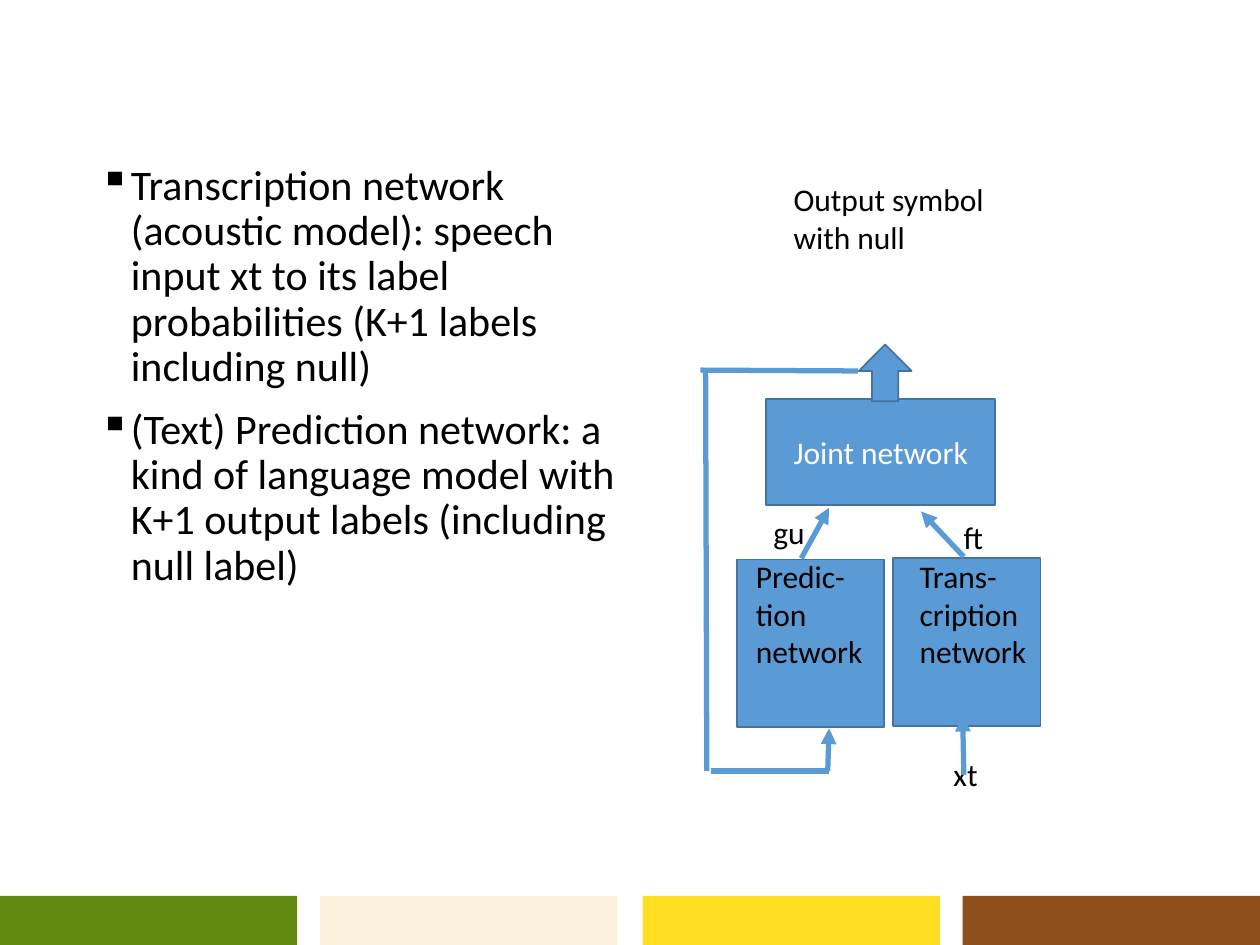
"""Build a slide on the transcription, prediction and joint networks of a transducer."""
import pptx
import pptx.util
import pptx.dml.color
import pptx.enum.shapes
import pptx.enum.text
import pptx.oxml.ns
import lxml.etree

Pt = pptx.util.Pt
SHAPE = pptx.enum.shapes.MSO_SHAPE
ALIGN = pptx.enum.text.PP_ALIGN
ANCHOR = pptx.enum.text.MSO_ANCHOR
FIT = pptx.enum.text.MSO_AUTO_SIZE

THEME = {
    "font": "Calibri", "body": 24, "label": 18,
    "ink": "000000", "light": "FFFFFF", "blue": "5B9BD5", "edge": "43739E",
    "edge_width": 1, "line_width": 3,
}
FOOTER = [(0, "61890F"), (182.9, "FAF2DD"), (367.2, "FFDF24"), (550.1, "8E4F1C")]
FOOTER_TOP, FOOTER_WIDTH, FOOTER_HEIGHT = 511.9, 169.9, 28.1

BULLETS = [
    "Transcription network (acoustic model): speech input xt to its label "
    "probabilities (K+1 labels including null)",
    "(Text) Prediction network: a kind of language model with K+1 output labels "
    "(including null label)",
]
BULLETS_AT = (49.7, 90, 322.6, 396.7)

NETWORKS = [
    ((510.5, 319, 84.2, 95.8), "Trans-cription network", (518.4, 314.6, 76.3, 94.3)),
    ((421.2, 319.7, 84.2, 95.8), "Predic-tion network", (424.8, 314.6, 76.3, 94.3)),
]
JOINT = ("Joint network", (437.8, 228.2, 131, 60.5))
OUTPUT_ARROW = (489.6, 198, 32.4, 30.2)
LABELS = [
    (["Output symbol", "with null"], (446.4, 99.4, 128.9, 51.1)),
    (["ft"], (543.6, 292.3, 25.9, 28.8)),
    (["gu"], (434.9, 289.4, 32.4, 28.8)),
    (["xt"], (537.8, 427.7, 28.8, 28.8)),
]
ARROWS = [
    (550.8, 318.2, 526.3, 292.3),
    (457.9, 319, 473.8, 290.2),
    (473, 440.6, 473.8, 416.2),
    (550.8, 442.8, 550.1, 409),
]
FEEDBACK = [
    (490.3, 212, 400.3, 211.5),
    (403.2, 211, 403.9, 440.6),
    (406.1, 440.6, 473.8, 440.6),
]


def rgb(name):
    return pptx.dml.color.RGBColor.from_string(THEME.get(name, name))


def apply(target, values):
    for name, value in values.items():
        setattr(target, name, value)


def add_xml(parent, tag, **attributes):
    child = lxml.etree.SubElement(parent, pptx.oxml.ns.qn(tag))
    for name, value in attributes.items():
        child.set(name, value)


def write(box, texts, size="label", color="ink", **layout):
    frame = box.text_frame
    apply(frame, layout)
    for index, text in enumerate(texts):
        para = frame.paragraphs[0] if index == 0 else frame.add_paragraph()
        span = para.add_run()
        span.text = text
        apply(span.font, {"name": THEME["font"], "size": Pt(THEME[size])})
        span.font.color.rgb = rgb(color)
    return frame.paragraphs


def add_text(page, at, texts, **layout):
    return write(page.shapes.add_textbox(*map(Pt, at)), texts, **layout)


def add_block(page, kind, at, fill="blue", edge="edge"):
    box = page.shapes.add_shape(kind, *map(Pt, at))
    box.shadow.inherit = False
    box.fill.solid()
    box.fill.fore_color.rgb = rgb(fill)
    if edge:
        box.line.color.rgb = rgb(edge)
        box.line.width = Pt(THEME["edge_width"])
    else:
        box.line.fill.background()
    return box


def add_line(page, ends, arrow=False):
    line = page.shapes.add_connector(
        pptx.enum.shapes.MSO_CONNECTOR.STRAIGHT, *map(Pt, ends))
    line.line.color.rgb = rgb("blue")
    line.line.width = Pt(THEME["line_width"])
    if arrow:
        add_xml(line.line._get_or_add_ln(), "a:tailEnd", type="triangle")
    add_xml(line._element.spPr, "a:effectLst")


def add_bullets(page):
    paras = add_text(page, BULLETS_AT, BULLETS, size="body", word_wrap=True)
    for index, para in enumerate(paras):
        apply(para, {"line_spacing": 0.9, "space_before": Pt(10 if index else 0)})
        properties = para._p.get_or_add_pPr()
        properties.set("marL", str(Pt(18)))
        properties.set("indent", str(Pt(-18)))
        add_xml(properties, "a:buChar", char="▪")


def add_diagram(page):
    for block_at, text, text_at in NETWORKS:
        add_block(page, SHAPE.RECTANGLE, block_at)
        add_text(page, text_at, [text], word_wrap=True, auto_size=FIT.SHAPE_TO_FIT_TEXT)
    text, at = JOINT
    joint = add_block(page, SHAPE.RECTANGLE, at)
    paras = write(joint, [text], color="light", word_wrap=True,
                  vertical_anchor=ANCHOR.MIDDLE)
    paras[0].alignment = ALIGN.CENTER
    add_block(page, SHAPE.RIGHT_ARROW, OUTPUT_ARROW).rotation = 270
    for texts, at in LABELS:
        add_text(page, at, texts, word_wrap=False, auto_size=FIT.SHAPE_TO_FIT_TEXT)
    for ends in FEEDBACK:
        add_line(page, ends)
    for ends in ARROWS:
        add_line(page, ends, arrow=True)


def main():
    deck = pptx.Presentation()
    apply(deck, {"slide_width": Pt(720), "slide_height": Pt(540)})
    page = deck.slides.add_slide(deck.slide_layouts[6])
    for left, color in FOOTER:
        at = (left, FOOTER_TOP, FOOTER_WIDTH, FOOTER_HEIGHT)
        add_block(page, SHAPE.RECTANGLE, at, fill=color, edge=None)
    add_bullets(page)
    add_diagram(page)
    deck.save("out.pptx")


if __name__ == "__main__":
    main()
